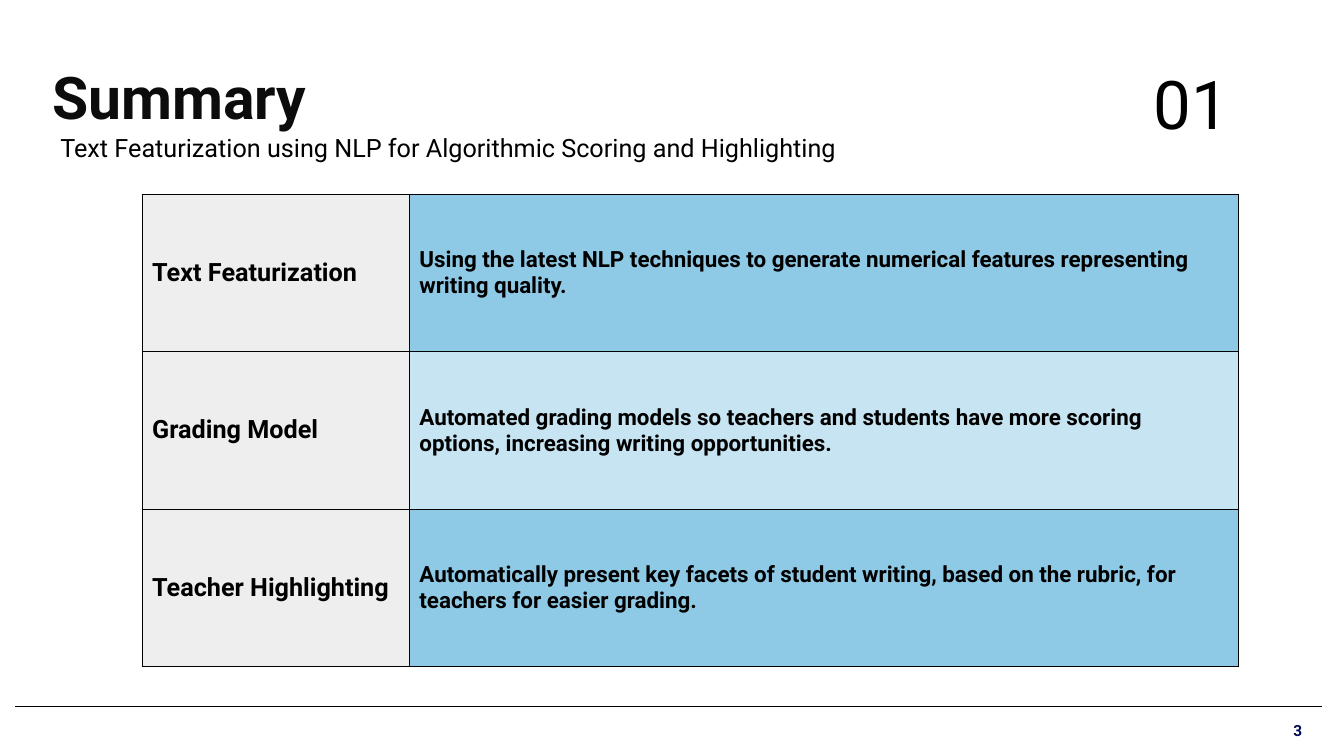
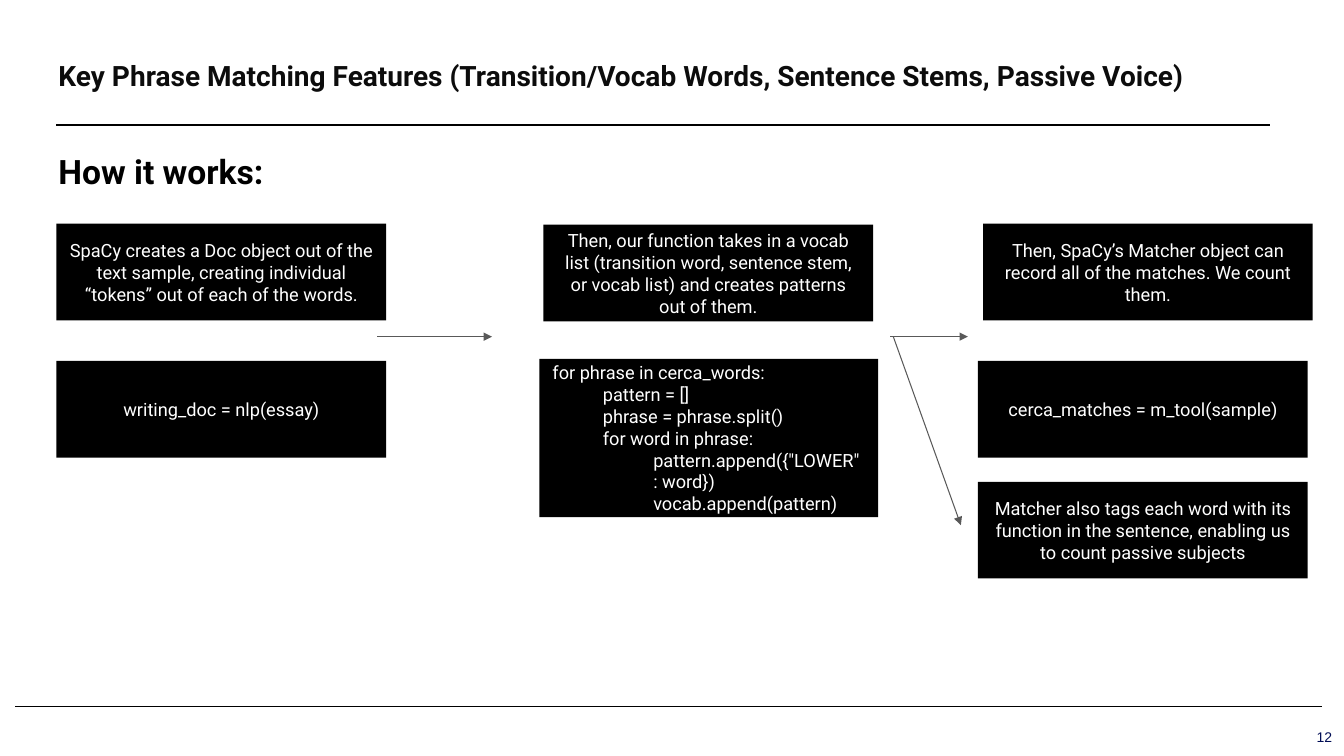
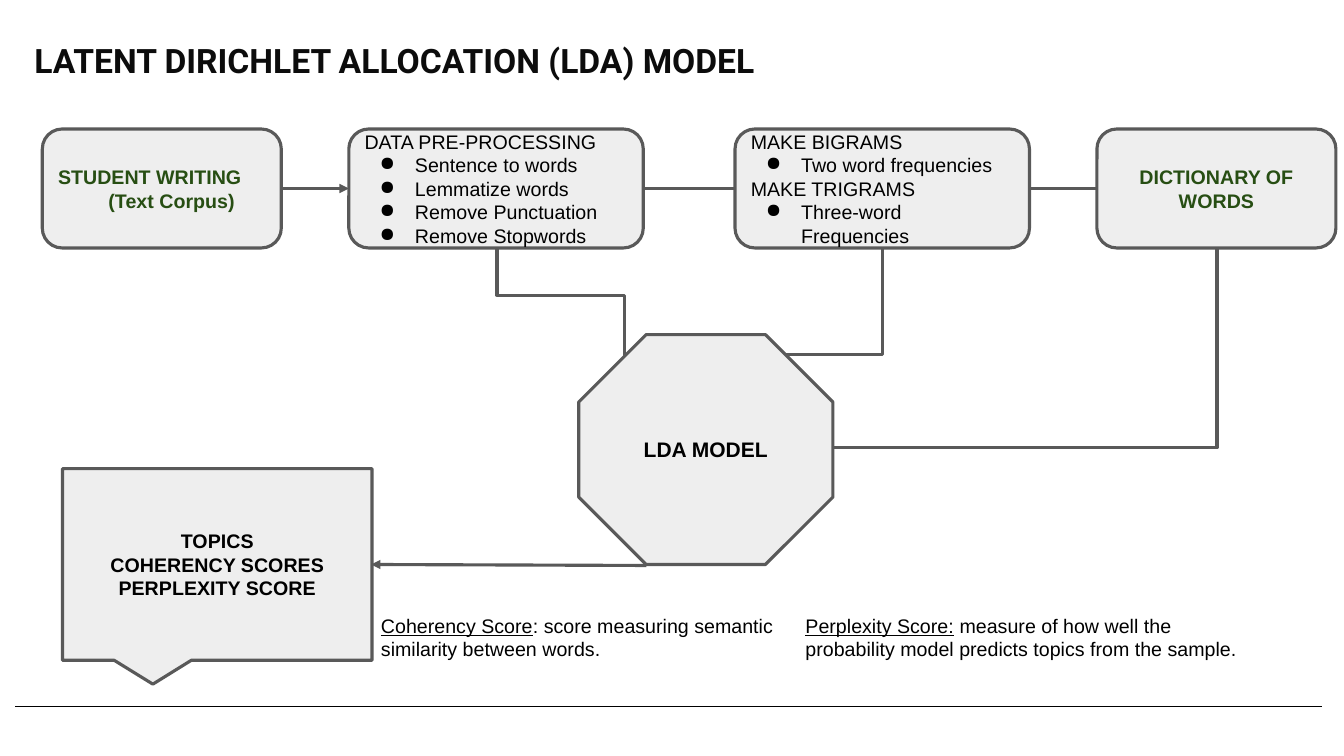
"""Build three slides on text features, phrase matching and topic modelling."""
import dataclasses

import pptx
import pptx.dml.color
import pptx.enum.shapes
import pptx.enum.text
import pptx.oxml.ns
import pptx.util
from lxml import etree
from pptx.util import Inches

SHAPE = pptx.enum.shapes.MSO_SHAPE
CONNECTOR = pptx.enum.shapes.MSO_CONNECTOR
ALIGN = pptx.enum.text.PP_ALIGN
ANCHOR = pptx.enum.text.MSO_ANCHOR
qn = pptx.oxml.ns.qn


@dataclasses.dataclass(frozen=True)
class Theme:
    """Colours, fonts, type sizes and line widths of the deck."""
    ink: str = "000000"
    title_ink: str = "0C0C0C"
    number_ink: str = "000D55"
    corpus_ink: str = "274E13"
    paper: str = "FFFFFF"
    panel: str = "EEEEEE"
    accent: str = "8ECAE6"
    edge: str = "595959"
    head_font: str = "Roboto"
    flow_font: str = "Arial"
    title_size: int = 42
    heading_size: int = 24
    long_title_size: int = 20
    marker_size: int = 48
    lead_size: int = 18
    cell_size: int = 16
    model_size: int = 15
    flow_size: int = 14
    card_size: int = 13
    bold_number_size: int = 11
    number_size: int = 10
    thin: float = 0.75
    medium: float = 1.5
    thick: float = 2.25


THEME = Theme()


@dataclasses.dataclass(frozen=True)
class Box:
    """A rectangle in inches."""
    left: float
    top: float
    width: float
    height: float

    def inner(self, left, top, width, height):
        """Return a box placed relative to this one."""
        return Box(self.left + left, self.top + top, width, height)

    def point(self, across, down):
        """Return a point placed relative to this box."""
        return self.left + across, self.top + down

    def lengths(self):
        """Return the four lengths for python-pptx."""
        return tuple(Inches(value) for value in dataclasses.astuple(self))


@dataclasses.dataclass(frozen=True)
class Para:
    """A paragraph of (text, underlined) spans with its indents."""
    spans: tuple
    margin: float = 0
    indent: float = 0
    bullet: str = ""


def plain(text, margin=0, indent=0):
    """Return a paragraph of one span."""
    return Para(((text, None),), margin, indent)


def bulleted(text):
    """Return a bulleted paragraph."""
    return Para(((text, None),), 0.5, -0.35, "●")


def set_values(target, values):
    """Set each named attribute of the target."""
    for name, value in values.items():
        setattr(target, name, value)


def rgb(code):
    """Return a colour from its hex code."""
    return pptx.dml.color.RGBColor.from_string(code)


def add_xml(parent, tag, **attributes):
    """Append a namespaced element with attributes."""
    return etree.SubElement(parent, qn(tag), attributes)


def type_style(size, color=THEME.ink, name=THEME.head_font, bold=False):
    """Return the format values of a piece of text."""
    return {"size": pptx.util.Pt(size), "name": name, "bold": bold}, color


def fill_text(frame, paras, style, align=ALIGN.LEFT):
    """Write styled paragraphs into a text frame."""
    values, color = style
    for index, content in enumerate(paras):
        para = frame.paragraphs[0] if index == 0 else frame.add_paragraph()
        para.alignment = align
        if content.margin or content.indent:
            properties = para._p.get_or_add_pPr()
            properties.set("marL", str(Inches(content.margin)))
            properties.set("indent", str(Inches(content.indent)))
            if content.bullet:
                add_xml(properties, "a:buChar", char=content.bullet)
        for text, underline in content.spans:
            span = para.add_run()
            span.text = text
            set_values(span.font, {**values, "underline": underline})
            span.font.color.rgb = rgb(color)


def set_frame(frame, anchor, inset=0.1, inset_y=None):
    """Set wrapping, anchor and insets of a text frame."""
    across = Inches(inset)
    down = across if inset_y is None else Inches(inset_y)
    set_values(frame, {
        "word_wrap": True, "auto_size": pptx.enum.text.MSO_AUTO_SIZE.NONE,
        "vertical_anchor": anchor, "margin_left": across,
        "margin_right": across, "margin_top": down, "margin_bottom": down})


def add_title(page, box, text, size, anchor=ANCHOR.MIDDLE):
    """Place and format the title placeholder."""
    title = page.shapes.title
    names = ("left", "top", "width", "height")
    set_values(title, dict(zip(names, box.lengths())))
    set_frame(title.text_frame, anchor)
    style = type_style(size, THEME.title_ink, bold=True)
    fill_text(title.text_frame, [plain(text)], style)


def add_text(page, box, paras, style, align=ALIGN.LEFT, inset_y=None):
    """Add a text box."""
    frame = page.shapes.add_textbox(*box.lengths()).text_frame
    set_frame(frame, ANCHOR.TOP, inset_y=inset_y)
    fill_text(frame, paras, style, align)


def add_panel(page, kind, box, paras, style, align=ALIGN.CENTER,
              fill=THEME.panel, edge=THEME.edge, inset=0.1, adjust=()):
    """Add a filled shape with text in it."""
    panel = page.shapes.add_shape(kind, *box.lengths())
    panel.shadow.inherit = False
    panel.fill.solid()
    panel.fill.fore_color.rgb = rgb(fill)
    if edge:
        panel.line.color.rgb = rgb(edge)
        panel.line.width = pptx.util.Pt(THEME.thick)
    else:
        panel.line.fill.background()
    for index, value in enumerate(adjust):
        panel.adjustments[index] = value
    set_frame(panel.text_frame, ANCHOR.MIDDLE, inset)
    fill_text(panel.text_frame, paras, style, align)


def add_line(page, start, end, color=THEME.edge, width=THEME.thick,
             arrow=False, kind=CONNECTOR.STRAIGHT):
    """Add a connector, with an arrowhead at its end if wanted."""
    ends = [Inches(value) for value in (*start, *end)]
    line = page.shapes.add_connector(kind, *ends)
    line.line.color.rgb = rgb(color)
    line.line.width = pptx.util.Pt(width)
    if arrow:
        add_xml(line.line._get_or_add_ln(), "a:tailEnd", type="triangle")
    add_xml(line._element.spPr, "a:effectLst")
    return line


def add_elbow(page, start, end, bend=None):
    """Add an elbow leaving downwards; bend is the share before a second turn."""
    (left, top), (right, bottom) = start, end
    width, height = abs(bottom - top), abs(right - left)
    corner = ((left + right - width) / 2, (top + bottom - height) / 2)
    opposite = (corner[0] + width, corner[1] + height)
    elbow = add_line(page, corner, opposite, kind=CONNECTOR.ELBOW)
    properties = elbow._element.spPr
    turn = properties.find(qn("a:xfrm"))
    outline = properties.find(qn("a:prstGeom"))
    if bend is None:
        turn.set("rot", str(90 * 60000))
        outline.set("prst", "bentConnector2")
    else:
        turn.set("rot", str(270 * 60000))
        turn.set("flipH", "1")
        guides = outline.find(qn("a:avLst"))
        if guides is None:
            guides = add_xml(outline, "a:avLst")
        add_xml(guides, "a:gd", name="adj1", fmla=f"val {round(bend * 100000)}")


def add_shared_rule(layout, page):
    """Draw the footer rule and move it to the layout."""
    rule = add_line(page, (0.15, 7.01), (13.11, 7.01), THEME.ink, THEME.thin)
    layout.shapes._spTree.append(rule._element)


def add_number(page, box, text, style):
    """Add the page number."""
    add_text(page, box, [plain(text)], style, inset_y=0.05)


def format_cell(cell, text, size, fill, opacity=100):
    """Fill, border and write one table cell."""
    cell.vertical_anchor = ANCHOR.MIDDLE
    cell.fill.solid()
    cell.fill.fore_color.rgb = rgb(fill)
    properties = cell._tc.get_or_add_tcPr()
    if opacity < 100:
        tint = properties.find(".//" + qn("a:srgbClr"))
        add_xml(tint, "a:alpha", val=str(opacity * 1000))
    for index, side in enumerate(("a:lnL", "a:lnR", "a:lnT", "a:lnB")):
        border = etree.Element(qn(side), w=str(pptx.util.Pt(THEME.thin)))
        add_xml(add_xml(border, "a:solidFill"), "a:srgbClr", val=THEME.ink)
        properties.insert(index, border)
    fill_text(cell.text_frame, [plain(text)], type_style(size, bold=True))


def add_summary_table(page, box, rows):
    """Add the table of topics and what they do."""
    table = page.shapes.add_table(len(rows), 2, *box.lengths()).table
    set_values(table, {"first_row": False, "horz_banding": False})
    label_width = 2.65
    table.columns[0].width = Inches(label_width)
    table.columns[1].width = Inches(box.width - label_width)
    for index, (label, detail) in enumerate(rows):
        table.rows[index].height = Inches(box.height / len(rows))
        format_cell(table.cell(index, 0), label, THEME.lead_size, THEME.panel)
        format_cell(table.cell(index, 1), detail, THEME.cell_size,
                    THEME.accent, 50 if index % 2 else 100)


def build_summary(page, box):
    """Build the summary slide."""
    add_title(page, box.inner(0.42, 0.32, 12.12, 1.26), "Summary",
              THEME.title_size)
    add_number(page, box.inner(12.73, 7.11, 0.4, 0.27), "3",
               type_style(THEME.bold_number_size, THEME.number_ink, bold=True))
    add_summary_table(page, box.inner(1.41, 1.93, 10.87, 4.68), (
        ("Text Featurization",
         "Using the latest NLP techniques to generate numerical features "
         "representing writing quality."),
        ("Grading Model",
         "Automated grading models so teachers and students have more "
         "scoring options, increasing writing opportunities."),
        ("Teacher Highlighting",
         "Automatically present key facets of student writing, based on the "
         "rubric, for teachers for easier grading.")))
    add_text(page, box.inner(0.5, 1.21, 8.19, 0.75),
             [plain("Text Featurization using NLP for Algorithmic Scoring "
                    "and Highlighting")], type_style(THEME.lead_size))
    add_text(page, box.inner(9.76, 0.52, 2.53, 1.51), [plain("01")],
             type_style(THEME.marker_size), ALIGN.RIGHT)


def add_matching_flow(page, box):
    """Add the cards and arrows of phrase matching."""
    width, height, second_row = 3.27, 0.96, 1.36
    code = (plain("for phrase in cerca_words:"),
            plain("pattern = []", 0, 0.5),
            plain("phrase = phrase.split()", 0, 0.5),
            plain("for word in phrase:", 0.5),
            plain('pattern.append({"LOWER" : word})', 1),
            plain("vocab.append(pattern)", 1))
    cards = (
        (0, 0, "SpaCy creates a Doc object out of the text sample, creating "
         "individual “tokens” out of each of the words."),
        (0, second_row, "writing_doc = nlp(essay)"),
        (4.83, 0.01, "Then, our function takes in a vocab list (transition "
         "word, sentence stem, or vocab list) and creates patterns out of "
         "them."),
        (9.19, 0, "Then, SpaCy’s Matcher object can record all of the "
         "matches. We count them."),
        (9.14, second_row, "cerca_matches = m_tool(sample)"),
        (9.14, 2.56, "Matcher also tags each word with its function in the "
         "sentence, enabling us to count passive subjects"))
    style = type_style(THEME.card_size, THEME.paper)
    look = {"fill": THEME.ink, "edge": None, "inset": 0.13}
    for left, top, text in cards:
        add_panel(page, SHAPE.RECTANGLE, box.inner(left, top, width, height),
                  [plain(text)], style, **look)
    add_panel(page, SHAPE.RECTANGLE, box.inner(4.79, 1.34, 3.36, 1.57), code,
              style, ALIGN.LEFT, **look)
    level = 1.12
    for start, end, drop in ((3.18, 4.32, 0), (8.27, 9.04, 0),
                             (8.3, 8.97, 1.87)):
        add_line(page, box.point(start, level), box.point(end, level + drop),
                 width=THEME.thin, arrow=True)


def build_matching(page, box):
    """Build the phrase matching slide."""
    add_title(page, box.inner(0.48, -0.17, 12.15, 1.83),
              "Key Phrase Matching Features (Transition/Vocab Words, "
              "Sentence Stems, Passive Voice)", THEME.long_title_size)
    add_number(page, box.inner(12.96, 7.18, 0.4, 0.27), "12",
               type_style(THEME.number_size, THEME.number_ink,
                          THEME.flow_font))
    add_text(page, box.inner(0.48, 1.4, 8.72, 0.67), [plain("How it works:")],
             type_style(THEME.heading_size, bold=True))
    add_line(page, box.point(0.56, 1.24), box.point(12.6, 1.24), THEME.ink,
             THEME.medium)
    add_matching_flow(page, box.inner(0.56, 2.22, 12.46, 3.52))


def add_pipeline(page, box):
    """Add the row of steps and the lines between them."""
    font = THEME.flow_font
    regular = type_style(THEME.flow_size, name=font)
    strong = type_style(THEME.flow_size, THEME.corpus_ink, font, True)
    steps = (
        (0, 2.37, strong, ALIGN.LEFT,
         (plain("STUDENT WRITING"), plain("\t(Text Corpus)"))),
        (3.04, 2.92, regular, ALIGN.LEFT,
         (plain("DATA PRE-PROCESSING"), bulleted("Sentence to words"),
          bulleted("Lemmatize words"), bulleted("Remove Punctuation"),
          bulleted("Remove Stopwords"))),
        (6.87, 2.92, regular, ALIGN.LEFT,
         (plain("MAKE BIGRAMS"), bulleted("Two word frequencies"),
          plain("MAKE TRIGRAMS"), bulleted("Three-word Frequencies"))),
        (10.46, 2.37, strong, ALIGN.CENTER, (plain("DICTIONARY OF WORDS"),)))
    for left, width, style, align, paras in steps:
        add_panel(page, SHAPE.ROUNDED_RECTANGLE,
                  box.inner(left, 0, width, box.height), paras, style, align)
    middle = box.height / 2
    for index, (step, following) in enumerate(zip(steps, steps[1:])):
        add_line(page, box.point(step[0] + step[1], middle),
                 box.point(following[0], middle), arrow=index == 0)


def add_model(page, box):
    """Add the model, the lines into it and its results."""
    font = THEME.flow_font
    add_elbow(page, box.point(8.13, 0), box.point(5.86, 1.06))
    add_elbow(page, box.point(11.45, 0), box.point(6.8, 1.98))
    add_elbow(page, box.point(4.31, 0.01), box.point(5.57, 1.27), 0.365)
    add_panel(page, SHAPE.OCTAGON, box.inner(5.12, 0.86, 2.52, 2.28),
              [plain("LDA MODEL")],
              type_style(THEME.model_size, name=font, bold=True),
              adjust=(0.293,))
    results = ("TOPICS", "COHERENCY SCORES", "PERPLEXITY SCORE")
    add_panel(page, SHAPE.ROUNDED_RECTANGULAR_CALLOUT,
              box.inner(0, 2.19, 3.07, 1.9), [plain(text) for text in results],
              type_style(THEME.flow_size, name=font, bold=True),
              adjust=(-0.208, 0.625, 0))
    add_line(page, box.point(5.79, 3.15), box.point(3.06, 3.14), arrow=True)
    definitions = (
        (3.06, 4.21, 1.14, "Coherency Score",
         ": score measuring semantic similarity between words."),
        (7.27, 4.51, 0.67, "Perplexity Score:",
         " measure of how well the probability model predicts topics from "
         "the sample."))
    for left, width, height, term, meaning in definitions:
        add_text(page, box.inner(left, 3.53, width, height),
                 [Para(((term, True), (meaning, False)))],
                 type_style(THEME.flow_size, name=font))


def build_topics(page, box):
    """Build the topic model slide."""
    add_title(page, box.inner(0.24, 0.3, 12.12, 1.26),
              "LATENT DIRICHLET ALLOCATION (LDA) MODEL", THEME.heading_size,
              ANCHOR.TOP)
    add_pipeline(page, box.inner(0.42, 1.28, 12.83, 1.18))
    add_model(page, box.inner(0.62, 2.46, 11.78, 4.67))


def main():
    """Build and save the deck."""
    deck = pptx.Presentation()
    area = Box(0, 0, 13.33, 7.5)
    set_values(deck, {"slide_width": Inches(area.width),
                      "slide_height": Inches(area.height)})
    layout = deck.slide_layouts.get_by_name("Title Only")
    for index, build in enumerate((build_summary, build_matching,
                                   build_topics)):
        page = deck.slides.add_slide(layout)
        if index == 0:
            add_shared_rule(layout, page)
        build(page, area)
    deck.save("out.pptx")


if __name__ == "__main__":
    main()
